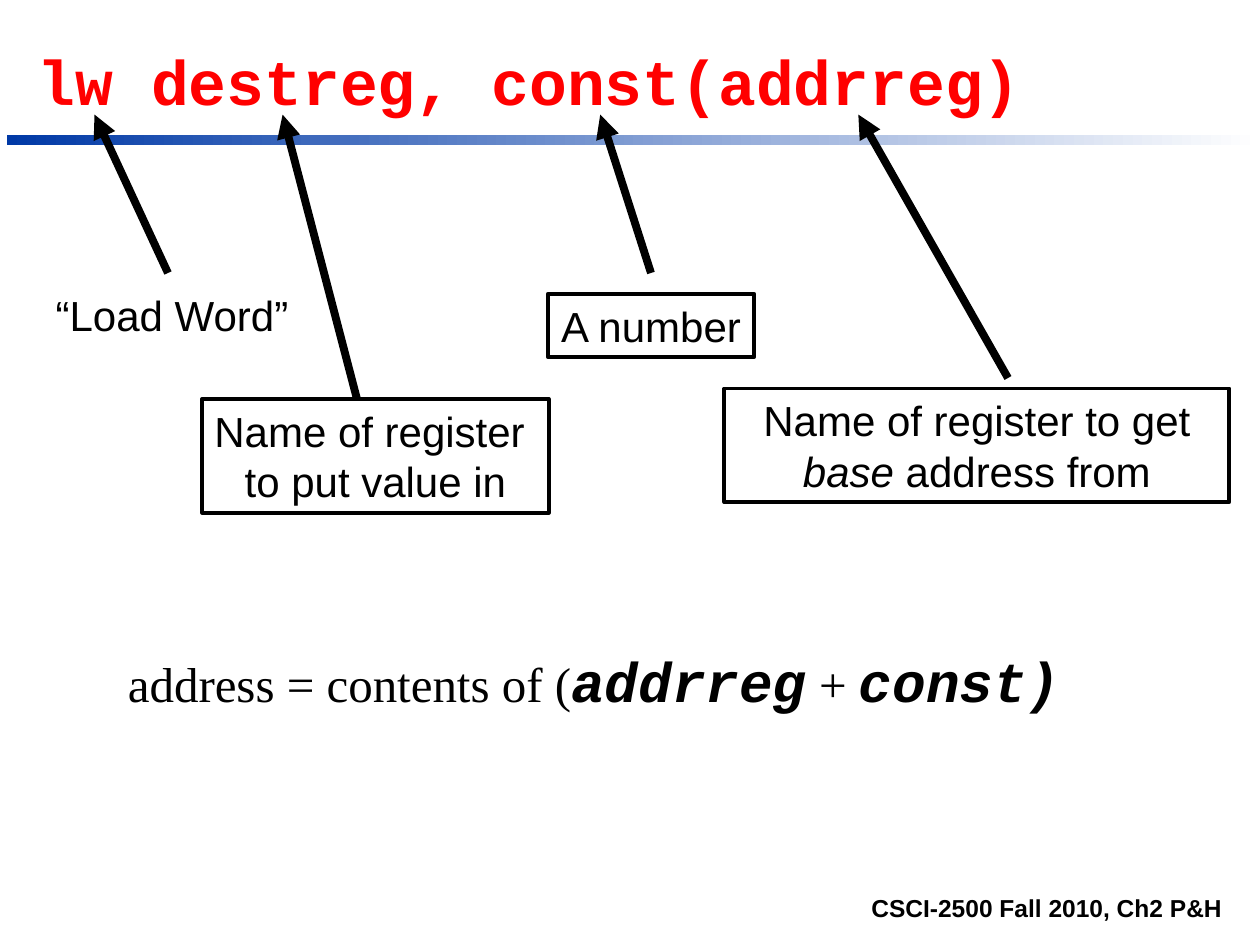
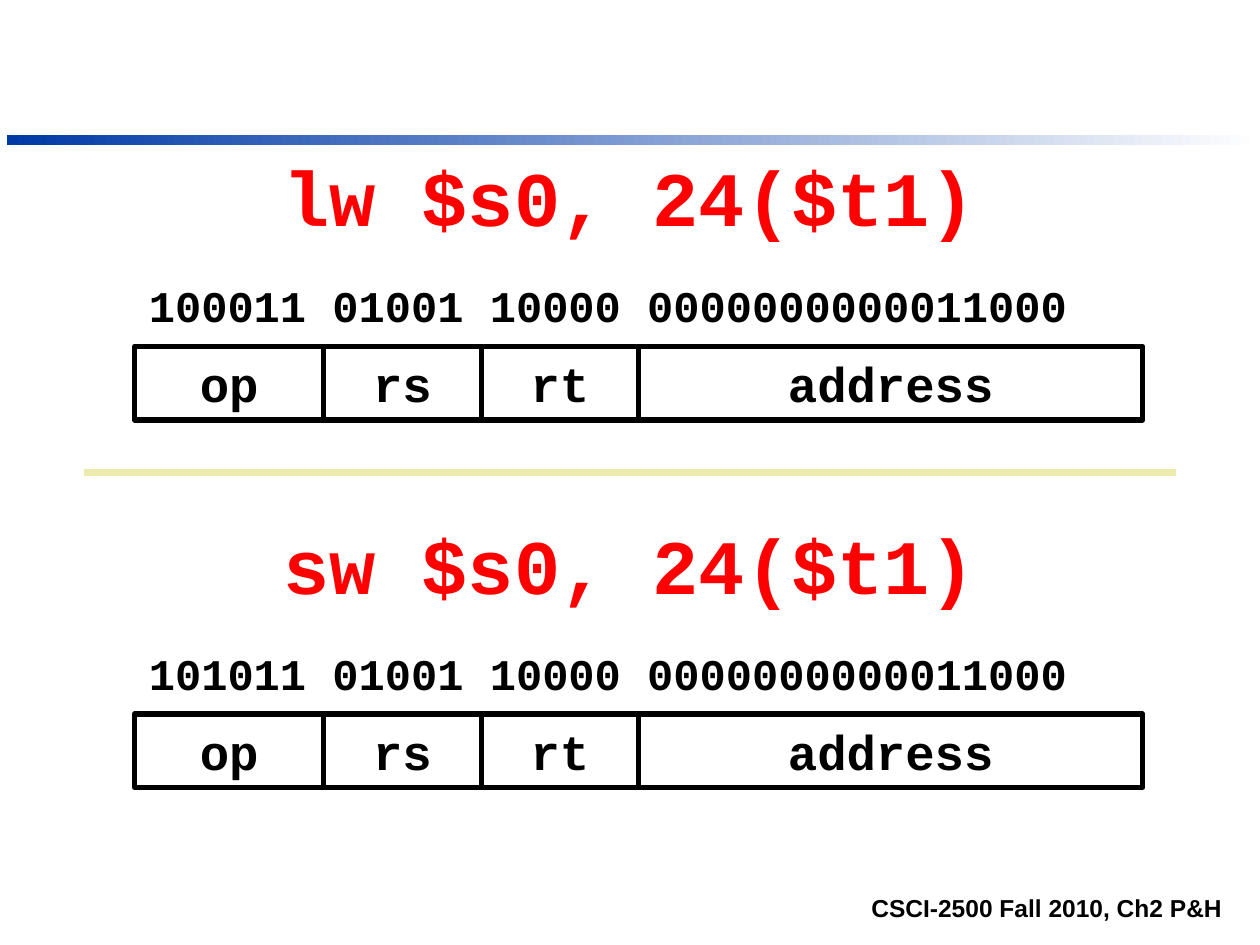
from dataclasses import dataclass

from lxml.etree import SubElement
from pptx import Presentation
from pptx.dml.color import RGBColor
from pptx.enum.shapes import MSO_CONNECTOR, MSO_SHAPE
from pptx.enum.text import MSO_ANCHOR, PP_ALIGN
from pptx.oxml.ns import qn
from pptx.util import Pt


@dataclass(frozen=True)
class Theme:
    black: RGBColor = RGBColor(0x00, 0x00, 0x00)
    white: RGBColor = RGBColor(0xFF, 0xFF, 0xFF)
    red: RGBColor = RGBColor(0xFF, 0x00, 0x00)
    blue: RGBColor = RGBColor(0x00, 0x39, 0xA6)
    sand: RGBColor = RGBColor(0xEC, 0xEA, 0xAC)
    sans: str = "Arial"
    serif: str = "Times New Roman"
    mono: str = "Courier New"
    footer: int = 14
    label: int = 24
    bits: int = 25
    body: int = 28
    code: int = 32
    title: int = 36
    instruction: int = 44
    box_line: float = 2.25
    field_line: float = 3
    thick_line: float = 4.5


T = Theme()
FIELDS = [("op", 108), ("rs", 90), ("rt", 90), ("address", 288)]


def write(sp, *paragraphs, size=T.label, font=T.sans, color=T.black, bold=False,
          italic=False, align=PP_ALIGN.LEFT, anchor=MSO_ANCHOR.TOP, wrap=True):
    """Fill a shape with paragraphs, each a string or a list of (text, format) runs."""
    tf = sp.text_frame
    tf.word_wrap = wrap
    tf.vertical_anchor = anchor
    for i, runs in enumerate(paragraphs):
        p = tf.paragraphs[0] if i == 0 else tf.add_paragraph()
        p.alignment = align
        if isinstance(runs, str):
            runs = [(runs, {})]
        for text, fmt in runs:
            r = p.add_run()
            r.text = text
            r.font.size = Pt(fmt.get("size", size))
            r.font.name = fmt.get("font", font)
            r.font.bold = fmt.get("bold", bold)
            r.font.italic = fmt.get("italic", italic)
            r.font.color.rgb = color


def add_text(s, x, y, w, h, *paragraphs, **fmt):
    sp = s.shapes.add_textbox(Pt(x), Pt(y), Pt(w), Pt(h))
    write(sp, *paragraphs, **fmt)


def add_rect(s, x, y, w, h):
    sp = s.shapes.add_shape(MSO_SHAPE.RECTANGLE, Pt(x), Pt(y), Pt(w), Pt(h))
    sp.shadow.inherit = False
    return sp


def add_box(s, x, y, w, h, *paragraphs, line=T.box_line, **fmt):
    """Add an outlined, unfilled rectangle with centred text."""
    sp = add_rect(s, x, y, w, h)
    sp.fill.background()
    sp.line.color.rgb = T.black
    sp.line.width = Pt(line)
    write(sp, *paragraphs, align=PP_ALIGN.CENTER, **fmt)


def add_line(s, x1, y1, x2, y2, color=T.black, arrow=False):
    cn = s.shapes.add_connector(MSO_CONNECTOR.STRAIGHT, Pt(x1), Pt(y1), Pt(x2), Pt(y2))
    cn.line.color.rgb = color
    cn.line.width = Pt(T.thick_line)
    if arrow:
        SubElement(cn.line._get_or_add_ln(), qn("a:tailEnd"), type="triangle")
    SubElement(cn._element.spPr, qn("a:effectLst"))


def add_slide(prs):
    """Add a blank slide with the gradient band and the course footer."""
    s = prs.slides.add_slide(prs.slide_layouts[6])
    band = add_rect(s, 4, 77, 716, 6)
    band.line.fill.background()
    band.fill.gradient()
    band.fill.gradient_angle = 0
    for stop, color in zip(band.fill.gradient_stops, (T.blue, T.white)):
        stop.color.rgb = color
    add_text(s, 133, 502.5, 572.5, 28, "CSCI-2500 Fall 2010, Ch2 P&H", size=T.footer,
             bold=True, align=PP_ALIGN.RIGHT, anchor=MSO_ANCHOR.BOTTOM)
    return s


def add_instruction(s, top, instruction, bits):
    """Add an instruction with its machine code and the row of named fields."""
    add_text(s, 54, top, 612, 90, instruction, size=T.instruction, font=T.mono,
             color=T.red, bold=True, align=PP_ALIGN.CENTER, anchor=MSO_ANCHOR.MIDDLE)
    add_text(s, 78, top + 89, 576, 37.5, bits, size=T.bits, font=T.mono, bold=True)
    x = 77
    for name, width in FIELDS:
        add_box(s, x, top + 131, width, 42, name, line=T.field_line, size=T.body,
                font=T.mono, bold=True, anchor=MSO_ANCHOR.MIDDLE, wrap=False)
        x += width


def syntax_slide(prs):
    s = add_slide(prs)
    add_text(s, 14.5, 21, 690.5, 50, "lw destreg, const(addrreg)", size=T.title,
             font=T.mono, color=T.red, bold=True, anchor=MSO_ANCHOR.BOTTOM)

    add_text(s, 24.5, 162, 147.5, 36, "“Load Word”", align=PP_ALIGN.CENTER, wrap=False)
    add_box(s, 115.5, 228, 198, 65, "Name of register ", "to put value in", wrap=False)
    add_box(s, 313, 168, 118, 36, "A number", wrap=False)
    add_box(s, 414, 222, 288.5, 65, [("Name of register to get ", {}),
                                     ("base ", {"italic": True}),
                                     ("address from", {})])

    for x1, y1, x2 in [(96, 156, 54), (204, 228, 161.5), (576, 216, 490.5), (372, 156, 343)]:
        add_line(s, x1, y1, x2, 65.5, arrow=True)

    code = {"size": T.code, "font": T.mono, "bold": True, "italic": True}
    add_text(s, 66, 366, 569, 46, [("address = contents of (", {}), ("addrreg", code),
                                   (" + ", {}), ("const)", code)],
             size=T.body, font=T.serif)


def encoding_slide(prs):
    s = add_slide(prs)
    add_instruction(s, 67, "lw $s0, 24($t1)", "100011 01001 10000 0000000000011000")
    add_instruction(s, 277, "sw $s0, 24($t1)", "101011 01001 10000 0000000000011000")
    add_line(s, 48, 270, 672, 270, color=T.sand)


def main():
    prs = Presentation()
    prs.slide_width, prs.slide_height = Pt(720), Pt(540)
    syntax_slide(prs)
    encoding_slide(prs)
    prs.save("out.pptx")


if __name__ == "__main__":
    main()
